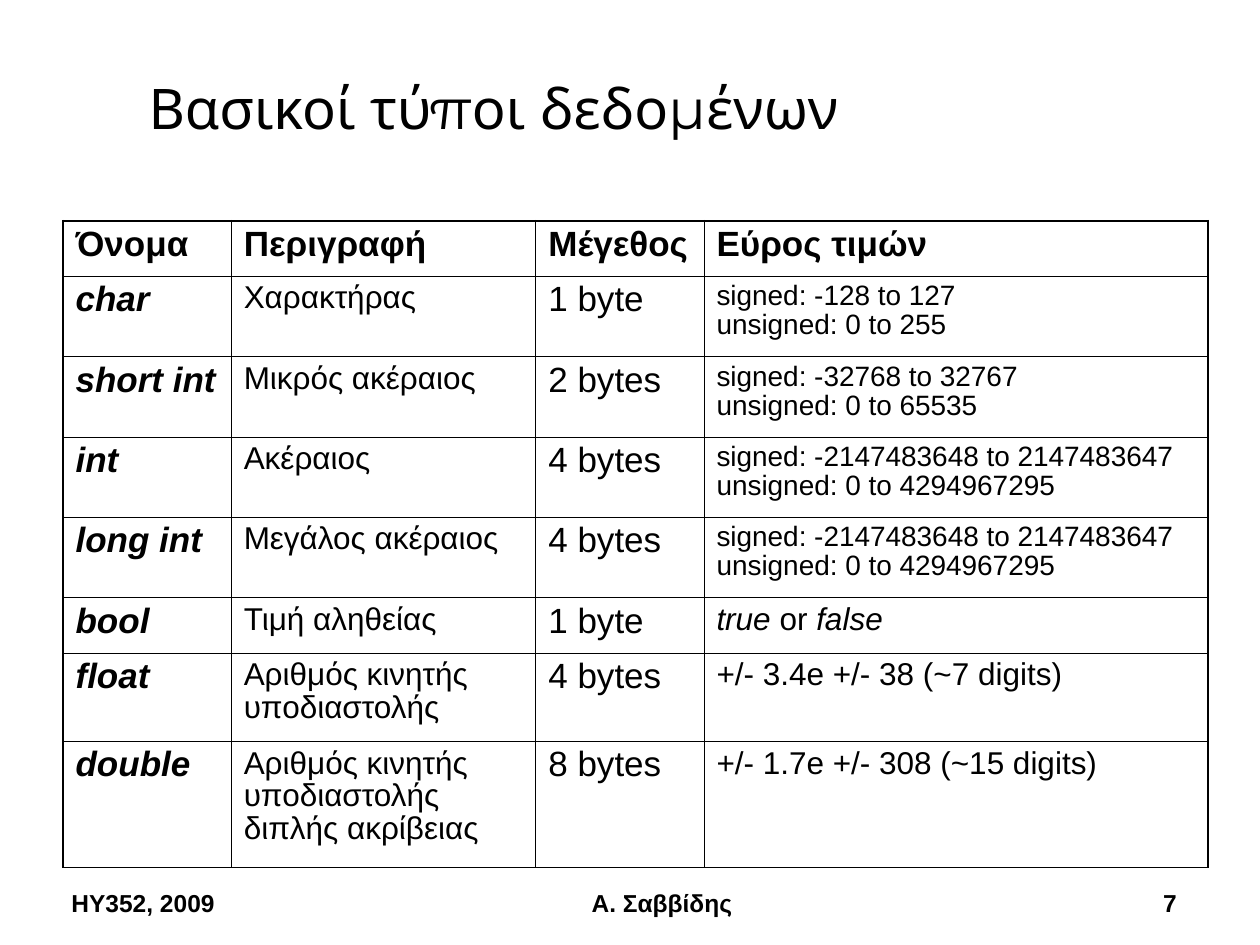
from lxml import etree
from pptx import Presentation
from pptx.dml.color import RGBColor
from pptx.enum.text import MSO_ANCHOR, PP_ALIGN
from pptx.oxml.ns import qn
from pptx.util import Cm, Pt

LEFT, MID, RIGHT = PP_ALIGN.LEFT, PP_ALIGN.CENTER, PP_ALIGN.RIGHT
BOTTOM = MSO_ANCHOR.BOTTOM
COLORS = {"ink": "000000"}

TITLE = "Βασικοί τύποι δεδομένων"
HEADS = ["Όνομα", "Περιγραφή", "Μέγεθος", "Εύρος τιμών"]
LONG = "signed: -2147483648 to 2147483647\vunsigned: 0 to 4294967295"
TYPES = [
    ("char", "Χαρακτήρας", "1 byte", "signed: -128 to 127\vunsigned: 0 to 255"),
    ("short int", "Μικρός ακέραιος", "2 bytes",
     "signed: -32768 to 32767\vunsigned: 0 to 65535"),
    ("int", "Ακέραιος", "4 bytes", LONG),
    ("long int", "Μεγάλος ακέραιος", "4 bytes", LONG),
    ("bool", "Τιμή αληθείας", "1 byte", ["true", " or ", "false"]),
    ("float", "Αριθμός κινητής υποδιαστολής", "4 bytes",
     "+/- 3.4e +/- 38 (~7 digits)"),
    ("double", "Αριθμός κινητής υποδιαστολής διπλής ακρίβειας", "8 bytes",
     "+/- 1.7e +/- 308 (~15 digits)"),
]
WIDTHS = [3.39, 6.14, 3.39, 10.16]
HEIGHTS = [1.12, 1.62, 1.62, 1.62, 1.62, 1.12, 1.78, 2.54]
# text, left, width, alignment
FOOTER = [
    ("HY352, 2009", 1.19, 5.56, LEFT),
    ("Α. Σαββίδης", 9.32, 8.05, MID),
    ("7", 18.69, 5.28, RIGHT),
]
THICK, THIN = 1.08, 0.45


def style(run, size, bold=False, italic=False, face="Arial"):
    font = run.font
    font.name, font.size = face, Pt(size)
    font.bold, font.italic = bold, italic
    font.color.rgb = RGBColor.from_string(COLORS["ink"])


def border(cell, edges):
    """Draw lines on the left, right, top and bottom; thick on outer edges."""
    props = cell._tc.get_or_add_tcPr()
    for pos, (side, outer) in enumerate(zip("LRTB", edges)):
        line = etree.Element(qn("a:ln" + side))
        line.set("w", str(Pt(THICK if outer else THIN)))
        fill = etree.SubElement(line, qn("a:solidFill"))
        etree.SubElement(fill, qn("a:srgbClr")).set("val", COLORS["ink"])
        props.insert(pos, line)


def fill_cell(cell, value, row, col):
    para = cell.text_frame.paragraphs[0]
    para.line_spacing = 0.93
    if isinstance(value, list):
        for part in value:
            para.add_run().text = part
    else:
        para.text = value
    head, name = row == 0, col == 0
    if head or col in (0, 2):
        size = 20
    else:
        size = 16 if "\v" in value else 18
    for run in para.runs:
        slant = (name and not head) or run.text in ("true", "false")
        style(run, size, head or name, slant)


def add_grid(slide):
    rows = [HEADS, *TYPES]
    table = slide.shapes.add_table(
        len(rows), len(HEADS), Cm(1.27), Cm(4.45),
        Cm(sum(WIDTHS)), Cm(sum(HEIGHTS))).table
    table.first_row = table.horz_banding = False
    for col, width in zip(table.columns, WIDTHS):
        col.width = Cm(width)
    for line, height in zip(table.rows, HEIGHTS):
        line.height = Cm(height)
    for r, values in enumerate(rows):
        for c, value in enumerate(values):
            cell = table.cell(r, c)
            cell.fill.background()
            fill_cell(cell, value, r, c)
            border(cell, (c == 0, c == len(HEADS) - 1,
                          r == 0, r == len(rows) - 1))


def add_title(slide):
    title = slide.shapes.title
    title.left, title.top = Cm(2.74), Cm(0.43)
    title.width, title.height = Cm(22.66), Cm(2.54)
    frame = title.text_frame
    frame.text = TITLE
    frame.vertical_anchor = BOTTOM
    para = frame.paragraphs[0]
    para.alignment = LEFT
    style(para.runs[0], 32, face="Montserrat")


def add_footer(slide):
    for text, left, width, align in FOOTER:
        box = slide.shapes.add_textbox(
            Cm(left), Cm(17.35), Cm(width), Cm(1.27))
        frame = box.text_frame
        frame.word_wrap = True
        frame.vertical_anchor = BOTTOM
        frame.text = text
        para = frame.paragraphs[0]
        para.alignment = align
        style(para.runs[0], 14, bold=True)


def main():
    deck = Presentation()
    deck.slide_width, deck.slide_height = Cm(25.4), Cm(19.05)
    slide = deck.slides.add_slide(deck.slide_layouts[5])
    add_title(slide)
    add_grid(slide)
    add_footer(slide)
    deck.save("out.pptx")


if __name__ == "__main__":
    main()
